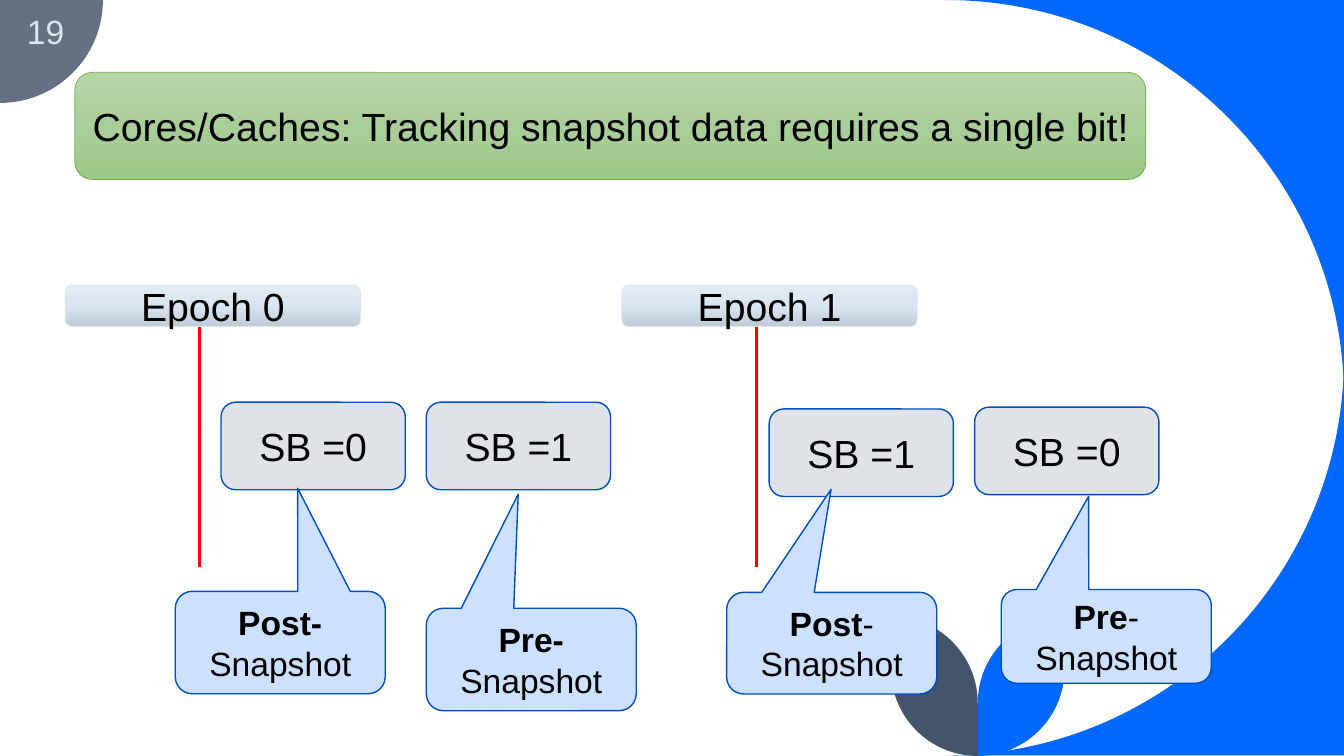
import copy
import pptx
import pptx.util
import pptx.dml.color
import pptx.enum.shapes
import pptx.enum.text
import pptx.oxml.ns
from lxml import etree

Pt = pptx.util.Pt
RGBColor = pptx.dml.color.RGBColor
Kind = pptx.enum.shapes.MSO_SHAPE
Align = pptx.enum.text.PP_ALIGN
qn = pptx.oxml.ns.qn

BLACK = RGBColor(0x00, 0x00, 0x00)
BLUE = RGBColor(0x00, 0x68, 0xFF)
SLATE = RGBColor(0x63, 0x71, 0x83)
NAVY = RGBColor(0x44, 0x54, 0x6A)
PALE = RGBColor(0xDA, 0xE5, 0xEF)
GRAY = RGBColor(0xDF, 0xE3, 0xE7)
SKY = RGBColor(0xCC, 0xE1, 0xFF)
EDGE = RGBColor(0x00, 0x4D, 0xBD)
RED = RGBColor(0xFF, 0x00, 0x00)
LEAF = RGBColor(0x70, 0xAD, 0x47)
GREENS = [RGBColor(0xB5, 0xD5, 0xA7), RGBColor(0xAA, 0xCE, 0x9A), RGBColor(0x9C, 0xC9, 0x87)]
STEELS = [RGBColor(0xE2, 0xEB, 0xF3), RGBColor(0xD9, 0xE5, 0xF0), RGBColor(0xBF, 0xCC, 0xD7)]


def dress(shape, fill, edge, width, runs, size=28, color=BLACK, align=Align.CENTER):
    shape.shadow.inherit = False
    if isinstance(fill, list):
        shape.fill.gradient()
        shape.fill.gradient_angle = 270
        stops = shape.element.find(".//" + qn("a:gsLst"))
        stops.insert(1, copy.deepcopy(stops[0]))
        for stop, tint, place in zip(shape.fill.gradient_stops, fill, (0, 0.5, 1)):
            stop.color.rgb = tint
            stop.position = place
    elif fill is not None:
        shape.fill.solid()
        shape.fill.fore_color.rgb = fill
    if edge is not None:
        shape.line.color.rgb = edge
        shape.line.width = Pt(width)
    frame = shape.text_frame
    frame.word_wrap = True
    frame.vertical_anchor = pptx.enum.text.MSO_ANCHOR.MIDDLE
    para = frame.paragraphs[0]
    para.alignment = align
    for text, bold in runs:
        run = para.add_run()
        run.text = text
        run.font.name = "Arial"
        run.font.size = Pt(size)
        run.font.bold = bold
        run.font.color.rgb = color


deck = pptx.Presentation()
deck.slide_width, deck.slide_height = Pt(960), Pt(540)
slide = deck.slides.add_slide(deck.slide_layouts[6])
shapes = slide.shapes

right = [(760.4, 440), (760.4, 478), (760.4, 512.2), (732.6, 540), (698.4, 540),
         (698.4, 502), (698.4, 470.5), (722.9, 443.5), (753.8, 440.6)]
left = [(2 * 698.4 - x, y) for x, y in right]
curves = [
    ([(960, 0), (675.5, 0), (832.6, 0), (960, 127.4), (960, 284.5)], [1], BLUE),
    ([(960, 255), (960, 412.1), (832.6, 539.5), (675.5, 539.5), (960, 539.5)], [0], BLUE),
    ([(0, 0), (73.5, 0), (73.5, 40.6), (40.6, 73.5), (0, 73.5)], [1], SLATE),
    (right, [1, 5], BLUE),
    (left, [1, 5], NAVY),
]
for points, bends, color in curves:
    spots = [(Pt(x), Pt(y)) for x, y in points]
    pen = shapes.build_freeform(*spots[0])
    pen.add_line_segments(spots[1:], close=True)
    curve = pen.convert_to_shape()
    steps = list(curve.element.iter(qn("a:lnTo")))
    for bend in bends:
        cubic = etree.Element(qn("a:cubicBezTo"))
        steps[bend].addprevious(cubic)
        for step in steps[bend:bend + 3]:
            cubic.append(step[0])
            step.getparent().remove(step)
    curve.shadow.inherit = False
    curve.fill.solid()
    curve.fill.fore_color.rgb = color
    curve.line.fill.background()

number = shapes.add_textbox(Pt(7), Pt(7.9), Pt(46), Pt(28.8))
dress(number, None, None, 0, [("19", False)], 24, PALE, Align.RIGHT)

banner = shapes.add_shape(Kind.ROUNDED_RECTANGLE, Pt(53.5), Pt(51.7), Pt(765), Pt(76.5))
dress(banner, GREENS, LEAF, 0.5,
      [("Cores/Caches: Tracking snapshot data requires a single bit!", False)])

bits = [("SB =0", 157.9, 287.3), ("SB =1", 304.5, 287.3),
        ("SB =1", 549.4, 292.1), ("SB =0", 696.2, 290.8)]
for text, x, y in bits:
    bit = shapes.add_shape(Kind.ROUNDED_RECTANGLE, Pt(x), Pt(y), Pt(131.6), Pt(62.5))
    dress(bit, GRAY, EDGE, 1, [(text, False)])

for name, x in (("Epoch 0", 46.6), ("Epoch 1", 444.2)):
    mark = x + 96
    line = shapes.add_connector(pptx.enum.shapes.MSO_CONNECTOR.STRAIGHT,
                                Pt(mark), Pt(233.5), Pt(mark), Pt(404.8))
    line.line.color.rgb = RED
    line.line.width = Pt(2.5)
    etree.SubElement(line.element.spPr, qn("a:effectLst"))
    epoch = shapes.add_shape(Kind.ROUNDED_RECTANGLE, Pt(x), Pt(203.6), Pt(211), Pt(29.6))
    dress(epoch, STEELS, PALE, 0.5, [(name, False)])

notes = [
    ("Post-", "Snapshot", 125.2, 422.4, 73.2, 0.083, -1.506),
    ("Pre-", "Snapshot", 304.5, 434.5, 73.2, -0.062, -1.613),
    ("Post", "-Snapshot", 519.1, 423.1, 72.6, -0.003, -1.514),
    ("Pre", "-Snapshot", 715.2, 421.1, 67, -0.084, -1.493),
]
for strong, plain, x, y, height, tipx, tipy in notes:
    note = shapes.add_shape(Kind.ROUNDED_RECTANGULAR_CALLOUT, Pt(x), Pt(y), Pt(150), Pt(height))
    note.adjustments[0] = tipx
    note.adjustments[1] = tipy
    dress(note, SKY, EDGE, 1, [(strong, True), (plain, False)], 24)

deck.save("out.pptx")
